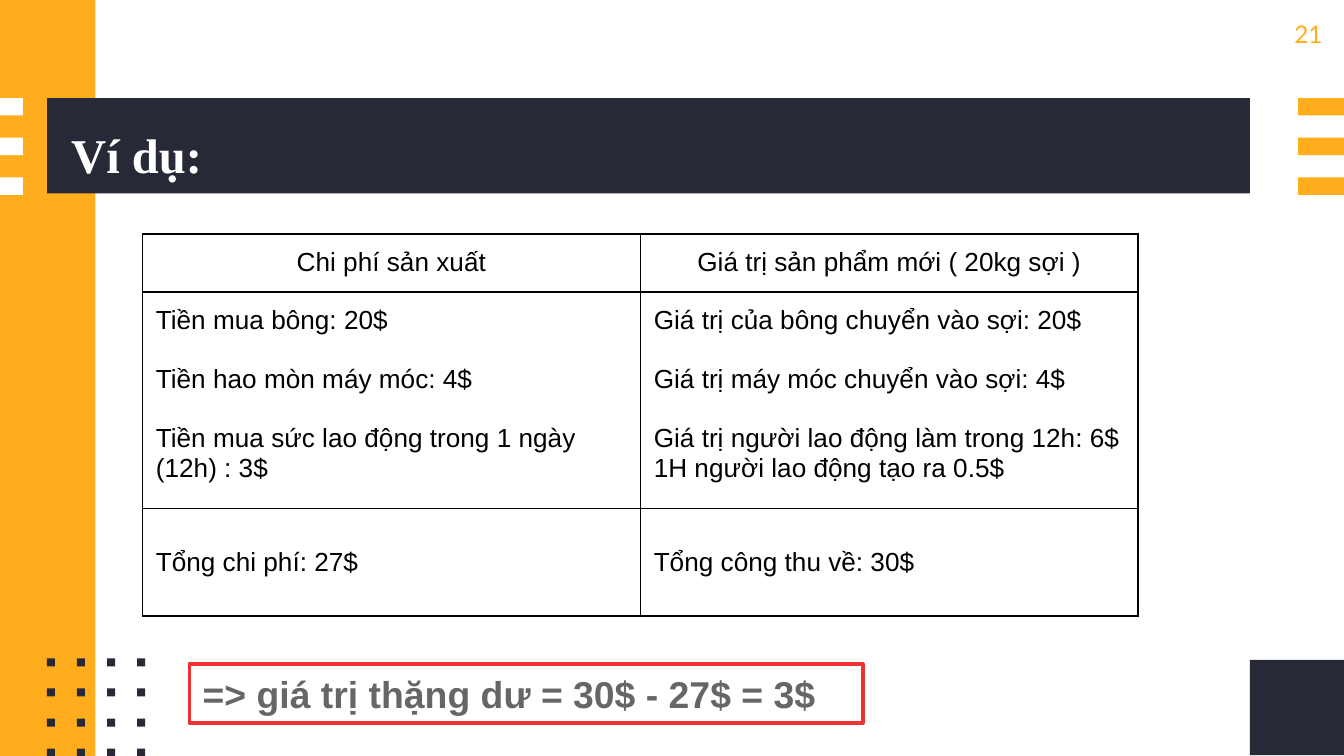
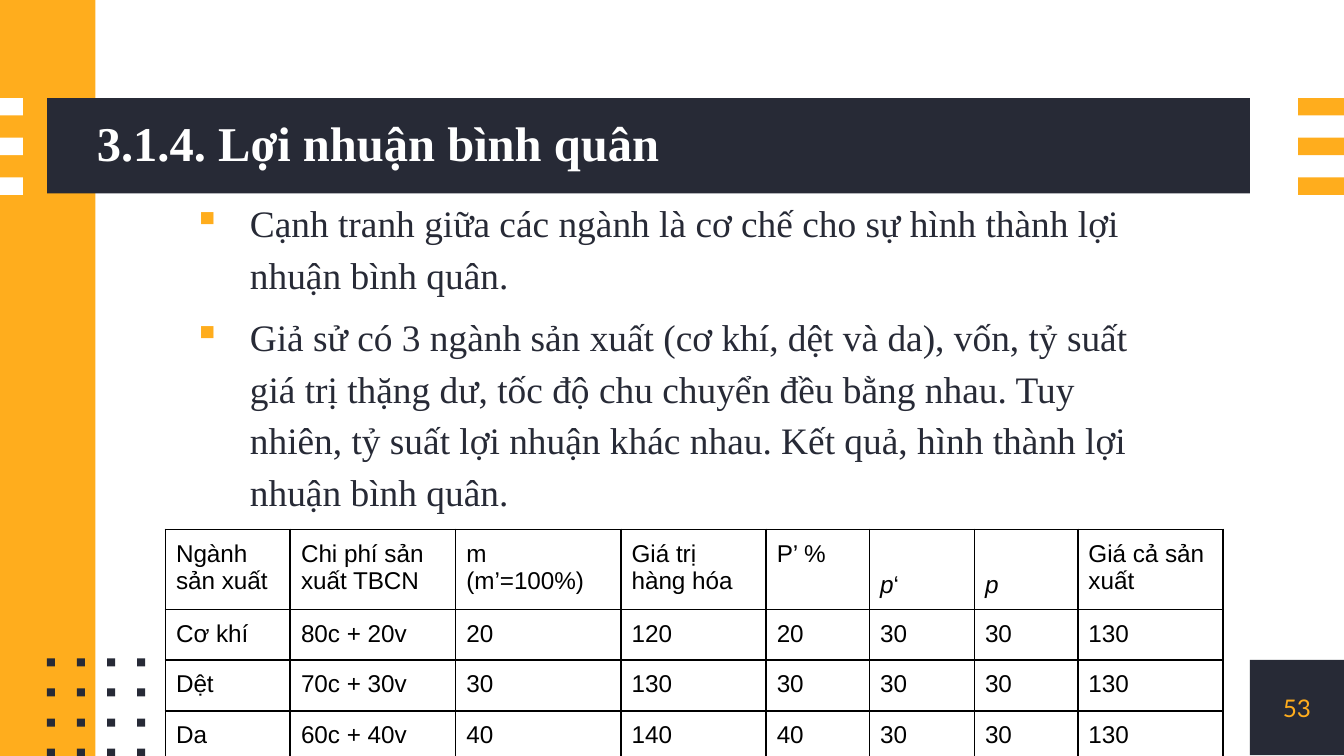
from dataclasses import dataclass

from lxml.etree import SubElement as Sub
from pptx import Presentation
from pptx.dml.color import RGBColor as RGB
from pptx.enum.shapes import MSO_SHAPE as Shape
from pptx.enum.text import MSO_ANCHOR as Anchor, PP_ALIGN as Align
from pptx.oxml import parse_xml
from pptx.oxml.ns import nsdecls, qn
from pptx.util import Inches, Pt


@dataclass(frozen=True)
class Theme:
    dark: str = "272A36"
    gold: str = "FFAD1D"
    white: str = "FFFFFF"
    black: str = "000000"
    red: str = "F03131"
    gray: str = "666666"
    serif: str = "Times New Roman"
    sans: str = "Arial"
    label: str = "Lato"
    head: int = 26
    body: int = 20
    cell: int = 14
    small: int = 13


class Deck:
    def __init__(self, theme):
        self.theme = theme
        self.prs = Presentation()
        self.prs.slide_width = Inches(10)
        self.prs.slide_height = Inches(5.625)
        self.slide = None

    def page(self):
        """Start a slide and draw its shared decoration."""
        t = self.theme
        self.slide = self.prs.slides.add_slide(self.prs.slide_layouts[6])
        self.rect((9.3, 4.91, 0.7, 0.71), t.dark)
        self.rect((0, 0, 0.71, 5.625), t.gold)
        self.rect((0.35, 0.73, 8.95, 0.71), t.dark)
        for i in range(3):
            top = 0.73 + 0.295 * i
            self.rect((0, top, 0.17, 0.13), t.white)
            self.rect((9.66, top, 0.34, 0.13), t.gold)
        step = 0.67 / 3
        for row in range(4):
            for col in range(4):
                self.rect((0.35 + col * step, 4.9 + row * step, 0.06, 0.06), t.dark)

    def rect(self, at, fill, line=None):
        shape = self.slide.shapes.add_shape(Shape.RECTANGLE, *map(Inches, at))
        shape.shadow.inherit = False
        shape.fill.solid()
        shape.fill.fore_color.rgb = RGB.from_string(fill)
        if line:
            shape.line.color.rgb = RGB.from_string(line)
            shape.line.width = Pt(2)
        else:
            shape.line.fill.background()
        return shape

    def style(self, font, size, color, bold=False):
        return {"name": font, "size": Pt(size), "bold": bold, "color": color}

    def typeset(self, frame, paras, look, form=None, gap=0, bullet=False):
        """Fill a frame; text between asterisks is italic."""
        for i, text in enumerate(paras):
            para = frame.paragraphs[0] if i == 0 else frame.add_paragraph()
            if bullet:
                self.bullet(para)
            for key, value in (form or {}).items():
                setattr(para, key, value)
            if i and gap:
                para.space_before = Pt(gap)
            for j, part in enumerate(text.split("*")):
                if part:
                    run = para.add_run()
                    run.text = part
                    for key, value in look.items():
                        if key == "color":
                            run.font.color.rgb = RGB.from_string(value)
                        else:
                            setattr(run.font, key, value)
                    run.font.italic = j % 2 == 1

    def bullet(self, para):
        props = para._p.get_or_add_pPr()
        props.set("marL", str(Inches(0.5)))
        props.set("indent", str(Inches(-0.42)))
        color = Sub(props, qn("a:buClr"))
        Sub(color, qn("a:srgbClr"), val=self.theme.gold)
        Sub(props, qn("a:buChar"), char="▪")

    def text(self, at, paras, look, anchor=Anchor.TOP, **rest):
        frame = self.slide.shapes.add_textbox(*map(Inches, at)).text_frame
        form = {"word_wrap": True, "vertical_anchor": anchor}
        form.update({f"margin_{side}": 0 for side in ("left", "right", "top", "bottom")})
        for key, value in form.items():
            setattr(frame, key, value)
        self.typeset(frame, paras, look, **rest)

    def title(self, at, text, anchor):
        t = self.theme
        look = self.style(t.serif, t.head, t.white, True)
        self.text(at, [text], look, anchor, form={"line_spacing": 0.9})

    def number(self, at, text, align, anchor=Anchor.TOP):
        t = self.theme
        look = self.style(t.label, t.small, t.gold)
        self.text(at, [text], look, anchor, form={"alignment": align})

    def callout(self, at, text):
        t = self.theme
        frame = self.rect(at, t.white, t.red).text_frame
        frame.word_wrap = True
        frame.vertical_anchor = Anchor.MIDDLE
        look = self.style(t.sans, t.body, t.gray, True)
        self.typeset(frame, [text], look, {"alignment": Align.LEFT})

    def border(self, cell):
        props = cell._tc.get_or_add_tcPr()
        for i, side in enumerate("LRTB"):
            props.insert(i, parse_xml(
                f'<a:ln{side} {nsdecls("a")} w="12700"><a:solidFill>'
                f'<a:srgbClr val="{self.theme.black}"/></a:solidFill></a:ln{side}>'))

    def table(self, spot, cols, rows, data, size, pad, fill=None, gap=0):
        """Draw a ruled table; a line break in a cell starts a paragraph."""
        at = (*spot, sum(cols), sum(rows))
        table = self.slide.shapes.add_table(len(rows), len(cols), *map(Inches, at)).table
        table.first_row = table.horz_banding = False
        for col, width in zip(table.columns, cols):
            col.width = Inches(width)
        for row, height in zip(table.rows, rows):
            row.height = Inches(height)
        look = self.style(self.theme.sans, size, self.theme.black)
        for row, line in zip(table.rows, data):
            for cell, text in zip(row.cells, line):
                for side in ("left", "right", "top", "bottom"):
                    setattr(cell, f"margin_{side}", Inches(pad))
                self.border(cell)
                if fill:
                    cell.fill.solid()
                    cell.fill.fore_color.rgb = RGB.from_string(fill)
                else:
                    cell.fill.background()
                self.typeset(cell.text_frame, text.split("\n"), look, gap=gap)
        return table


def example(deck):
    t = deck.theme
    deck.page()
    deck.title((0.53, 0.87, 7.55, 0.5), "Ví dụ:", Anchor.BOTTOM)
    deck.number((9.48, 0.14, 0.36, 0.3), "21", Align.RIGHT)
    data = [
        ("Chi phí sản xuất", "Giá trị sản phẩm mới ( 20kg sợi )"),
        ("Tiền mua bông: 20$\nTiền hao mòn máy móc: 4$\n"
         "Tiền mua sức lao động trong 1 ngày (12h) : 3$",
         "Giá trị của bông chuyển vào sợi: 20$\nGiá trị máy móc chuyển vào sợi: 4$\n"
         "Giá trị người lao động làm trong 12h: 6$\n1H người lao động tạo ra 0.5$"),
        ("Tổng chi phí: 27$", "Tổng công thu về: 30$"),
    ]
    table = deck.table((1.06, 1.74), [3.705] * 2, [0.42, 1.61, 0.8], data,
                       t.cell, 0.1, gap=16)
    for col in range(2):
        table.cell(0, col).text_frame.paragraphs[0].alignment = Align.CENTER
        table.cell(2, col).vertical_anchor = Anchor.MIDDLE
    table.cell(1, 1).text_frame.paragraphs[-1].space_before = Pt(0)
    deck.callout((1.41, 4.94, 5.01, 0.44), "=> giá trị thặng dư = 30$ - 27$ = 3$")


def profit(deck):
    t = deck.theme
    deck.page()
    deck.title((0.72, 0.73, 8.58, 0.71), "3.1.4. Lợi nhuận bình quân", Anchor.MIDDLE)
    points = [
        "Cạnh tranh giữa các ngành là cơ chế cho sự hình thành lợi nhuận bình quân.",
        "Giả sử có 3 ngành sản xuất (cơ khí, dệt và da), vốn, tỷ suất giá trị thặng dư, "
        "tốc độ chu chuyển đều bằng nhau. Tuy nhiên, tỷ suất lợi nhuận khác nhau. "
        "Kết quả, hình thành lợi nhuận bình quân.",
    ]
    deck.text((1.36, 1.44, 7.27, 2.74), points, deck.style(t.serif, t.body, t.dark),
              form={"line_spacing": 1.15}, gap=6, bullet=True)
    deck.number((9.3, 4.91, 0.7, 0.71), "53", Align.CENTER, Anchor.MIDDLE)
    data = [
        ("Ngành sản xuất", "Chi phí sản xuất TBCN", "m (m’=100%)", "Giá trị hàng hóa",
         "P’ %", "*p*‘", "*p*", "Giá cả sản xuất"),
        ("Cơ khí", "80c + 20v", "20", "120", "20", "30", "30", "130"),
        ("Dệt", "70c + 30v", "30", "130", "30", "30", "30", "130"),
        ("Da", "60c + 40v", "40", "140", "40", "30", "30", "130"),
    ]
    cols = [0.93, 1.23, 1.23, 1.08, 0.77, 0.78, 0.77, 1.08]
    table = deck.table((1.23, 3.94), cols, [0.57] + [0.36] * 3, data,
                       t.small, 0.08, t.white)
    for col in (5, 6):
        table.cell(0, col).vertical_anchor = Anchor.BOTTOM


def main():
    deck = Deck(Theme())
    example(deck)
    profit(deck)
    deck.prs.save("out.pptx")


if __name__ == "__main__":
    main()
